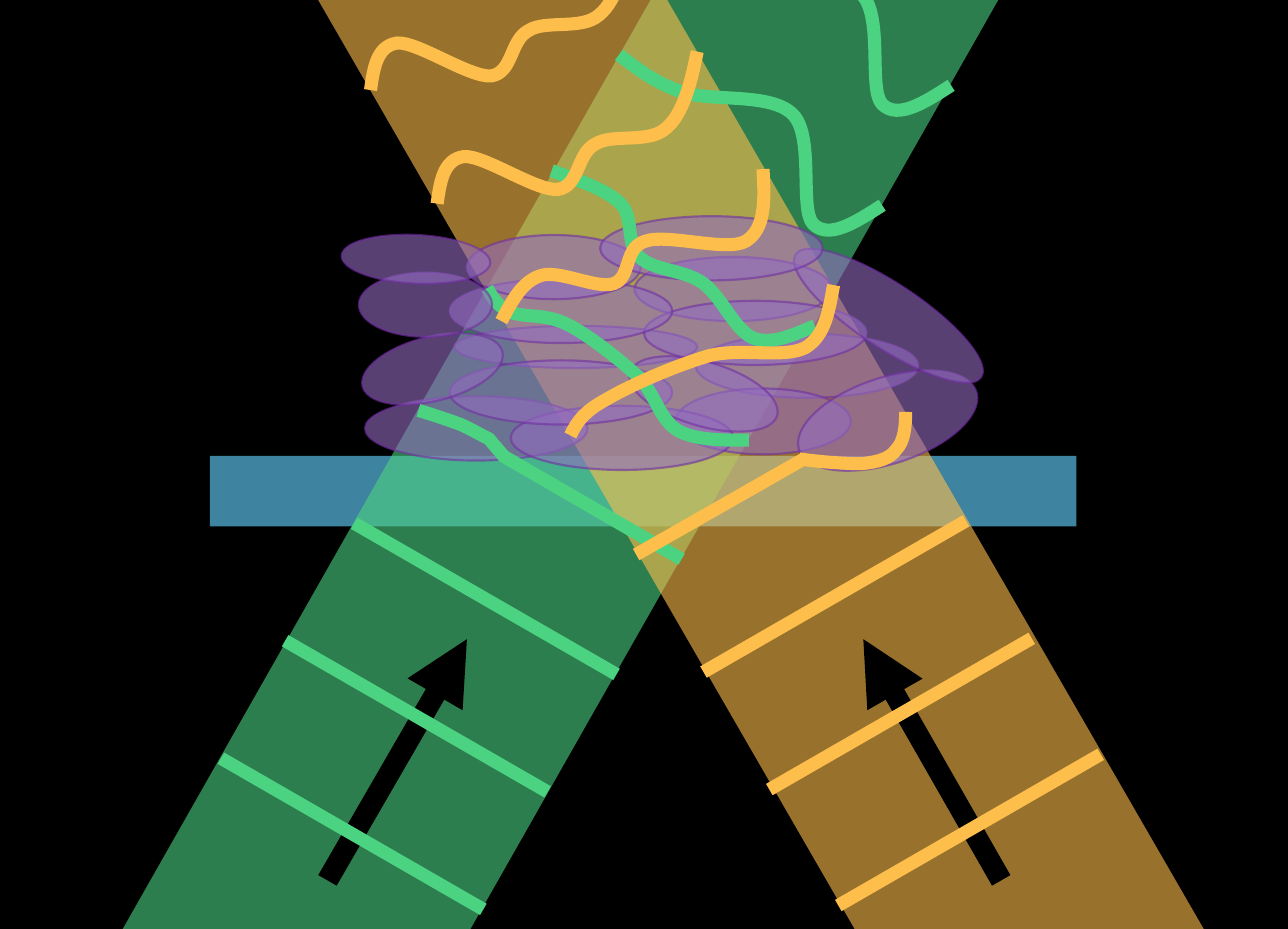
from lxml import etree
from pptx import Presentation
from pptx.dml.color import RGBColor
from pptx.enum.shapes import MSO_CONNECTOR, MSO_SHAPE as SHAPE
from pptx.oxml.ns import qn
from pptx.util import Inches, Pt

BLACK, GLASS = "000000", "4CA1C3"
GREEN, AMBER = "4CD382", "FEBE4C"
CLOUD_FILL, CLOUD_EDGE = "936CC0", "7030A0"
COLUMNS, ROWS = 82.2, 59.3
FRONT_WIDTH, FRONT_HEIGHT = 16.75, 9.65

CLOUD = [
    (44.4, 21.3, 14.2, 4.1, 0), (43.1, 24.8, 11.2, 4.2, 0), (29, 20.8, 15.5, 2.7, 0),
    (40.5, 16.4, 12.6, 4.1, 0), (23.3, 25.3, 14.2, 4.1, 0), (32.6, 25.9, 14.2, 4.1, 0),
    (28.7, 23, 14.2, 4.1, 0), (40, 23.1, 9.8, 4.1, 16.4), (50.7, 24.1, 11.9, 5.5, 341.9),
    (41.1, 19.2, 14.2, 4.1, 0), (28.7, 17.8, 14.2, 4.1, 0), (49.6, 18.1, 14.2, 4.1, 33.5),
    (29.8, 15, 11.1, 4.1, 0), (23, 21.5, 9.2, 4.1, 346), (38.3, 13.8, 14.2, 4.1, 0),
]
FRONT_CLOUD = [(22.9, 17.4, 8.5, 4.1, 0), (21.8, 15, 9.5, 3.1, 2.8)]

GREEN_FRONTS = [(14.1, 48.4), (18.2, 40.9), (22.6, 33.4)]
AMBER_FRONTS = [(53.5, 57.8), (49.1, 50.4), (44.9, 42.9)]
GREEN_BEND = [
    (32.2, 29.2), (31.9, 28.8), (31.5, 28.4), (31.2, 28),
    (30.9, 27.9), (30.1, 27.4), (29.4, 27.1), (28.6, 26.8), (27.7, 26.5), (26.7, 26.2),
]
GREEN_WAVES = [
    [(47.8, 28.1), (46.1, 28.1), (44.4, 28.1), (43.3, 27.5), (42.1, 26.8), (41.9, 25.3),
     (40.8, 24.1), (39.6, 23), (37.6, 21.4), (36.2, 20.7), (34.8, 20), (33.4, 20.3),
     (32.5, 19.9), (31.7, 19.5), (31.4, 18.9), (31.1, 18.4)],
    [(52, 20.8), (50.6, 21.4), (49.3, 22), (48.1, 21.6), (46.9, 21.1), (46.1, 19),
     (44.9, 18.1), (43.7, 17.2), (41.7, 17.3), (40.8, 16.4), (39.9, 15.5), (40.5, 13.9),
     (39.6, 13), (38.7, 12.1), (36.9, 11.5), (35.2, 10.9)],
    [(56.3, 13.1), (54.6, 14.2), (52.9, 15.3), (51.9, 14.3), (51, 13.4), (52, 8.7),
     (50.6, 7.3), (49.2, 5.9), (45.5, 6.5), (43.6, 5.9), (41.8, 5.3), (40.7, 4.4),
     (39.5, 3.5)],
]
AMBER_WAVES = [
    [(51, 29.3), (52.4, 29.5), (53.9, 29.6), (55, 29.6), (56, 29.5), (56.8, 29.3),
     (57.2, 28.7), (57.7, 28.2), (57.8, 27.3), (57.8, 26.3)],
    [(36.4, 27.8), (36.8, 27), (37.2, 26.3), (38.7, 25.5), (40.2, 24.6), (43.2, 23.3),
     (45.3, 22.7), (47.4, 22.2), (50, 22.9), (51.4, 22.2), (52.7, 21.4), (52.9, 19.8),
     (53.2, 18.2)],
    [(32, 20.5), (32.7, 19.2), (33.3, 18), (34.5, 17.6), (35.7, 17.2), (38.1, 18.5),
     (39.2, 18.1), (40.3, 17.7), (39.8, 15.8), (41.2, 15.4), (42.6, 14.9), (46.4, 16.1),
     (47.6, 15.4), (48.9, 14.6), (48.8, 12.7), (48.7, 10.8)],
    [(27.9, 13), (28.1, 11.6), (28.3, 10.2), (29.6, 10), (30.9, 9.9), (34.2, 12.2),
     (35.6, 12.1), (37, 11.9), (36.8, 9.8), (38, 9.2), (39.1, 8.5), (41.4, 9.2),
     (42.5, 8.2), (43.6, 7.3), (44.1, 5.3), (44.5, 3.3)],
]


def grid(cells):
    """Turn a number of grid cells, a tenth of an inch each, into a length."""
    return Inches(cells / 10)


def paint(color_format, color, opacity=100):
    """Apply a hex colour and opacity in percent to a fill or a line."""
    color_format.solid()
    color_format.fore_color.rgb = RGBColor.from_string(color)
    if opacity < 100:
        choice = next(color_format._xPr.iter(qn("a:srgbClr")))
        etree.SubElement(choice, qn("a:alpha")).set("val", str(opacity * 1000))


def area(shapes, kind, box, color, opacity, turn=0, edge=None):
    """Add a translucent preset shape, outlined only when an edge colour is given."""
    shape = shapes.add_shape(kind, *map(grid, box))
    shape.shadow.inherit = False
    shape.rotation = turn
    paint(shape.fill, color, opacity)
    if edge:
        shape.line.width = Pt(1)
        paint(shape.line.fill, edge, opacity)
    else:
        shape.line.fill.background()


def cloud(shapes, blobs):
    """Add the overlapping ellipses of the scattering cloud."""
    for *box, turn in blobs:
        area(shapes, SHAPE.OVAL, box, CLOUD_FILL, 60, turn, CLOUD_EDGE)


def ray(shapes, start, end, color, width=6, arrow=False):
    """Add a straight line, with an arrowhead at its end on request."""
    line = shapes.add_connector(MSO_CONNECTOR.STRAIGHT, *map(grid, (*start, *end)))
    line.line.width = Pt(width)
    paint(line.line.fill, color)
    if arrow:
        etree.SubElement(line.line._get_or_add_ln(), qn("a:tailEnd")).set("type", "triangle")
    etree.SubElement(line._element.spPr, qn("a:effectLst"))


def wave(shapes, knots, color):
    """Add a distorted wavefront as an open chain of cubic curves."""
    points = [(grid(x), grid(y)) for x, y in knots]
    builder = shapes.build_freeform(*points[0])
    builder.add_line_segments(points[3::3], close=False)
    front = builder.convert_to_shape()
    for index, segment in enumerate(list(front._element.iter(qn("a:lnTo")))):
        segment.tag = qn("a:cubicBezTo")
        handles = points[3 * index + 1:3 * index + 3]
        for place, (x, y) in enumerate(handles):
            handle = etree.Element(qn("a:pt"), x=str(x - front.left), y=str(y - front.top))
            segment.insert(place, handle)
    front.shadow.inherit = False
    front.fill.background()
    front.line.width = Pt(6)
    paint(front.line.fill, color)


def shifted(knots, across, down):
    """Return the knots moved by a number of columns and rows."""
    return [(x + across, y + down) for x, y in knots]


def main():
    """Build the slide with two beams crossing a cloud."""
    deck = Presentation()
    deck.slide_width, deck.slide_height = grid(COLUMNS), grid(ROWS)
    slide = deck.slides.add_slide(deck.slide_layouts[6])
    paint(slide.background.fill, BLACK)
    shapes = slide.shapes

    area(shapes, SHAPE.RECTANGLE, (13.4, 29.1, 55.3, 4.5), GLASS, 82)
    area(shapes, SHAPE.RECTANGLE, (-32.1, 28.5, 126.1, 19.3), GREEN, 60, 299.6)
    area(shapes, SHAPE.RECTANGLE, (-8.5, 25.7, 120.7, 19.3), AMBER, 60, 60)
    cloud(shapes.add_group_shape().shapes, CLOUD)

    for tail, head in ((63.9, 55.1), (20.9, 29.8)):
        ray(shapes, (tail, 56.2), (head, 40.8), BLACK, 9.75, arrow=True)

    for x, y in GREEN_FRONTS:
        ray(shapes, (x, y), (x + FRONT_WIDTH, y + FRONT_HEIGHT), GREEN)
    bent_front = shapes.add_group_shape().shapes
    ray(bent_front, (43.5, 35.7), (32.1, 29.1), GREEN)
    wave(bent_front, GREEN_BEND, GREEN)
    for knots in GREEN_WAVES + [shifted(GREEN_WAVES[-1], 4.4, -7.65)]:
        wave(shapes, knots, GREEN)

    amber_fronts = shapes.add_group_shape().shapes
    for x, y in AMBER_FRONTS:
        ray(amber_fronts, (x, y), (x + FRONT_WIDTH, y - FRONT_HEIGHT), AMBER)
    ray(amber_fronts, (40.6, 35.4), (51.3, 29.3), AMBER)
    for knots in AMBER_WAVES + [shifted(AMBER_WAVES[-1], -4.25, -7.25)]:
        wave(amber_fronts, knots, AMBER)

    cloud(shapes, FRONT_CLOUD)
    deck.save("out.pptx")


if __name__ == "__main__":
    main()
